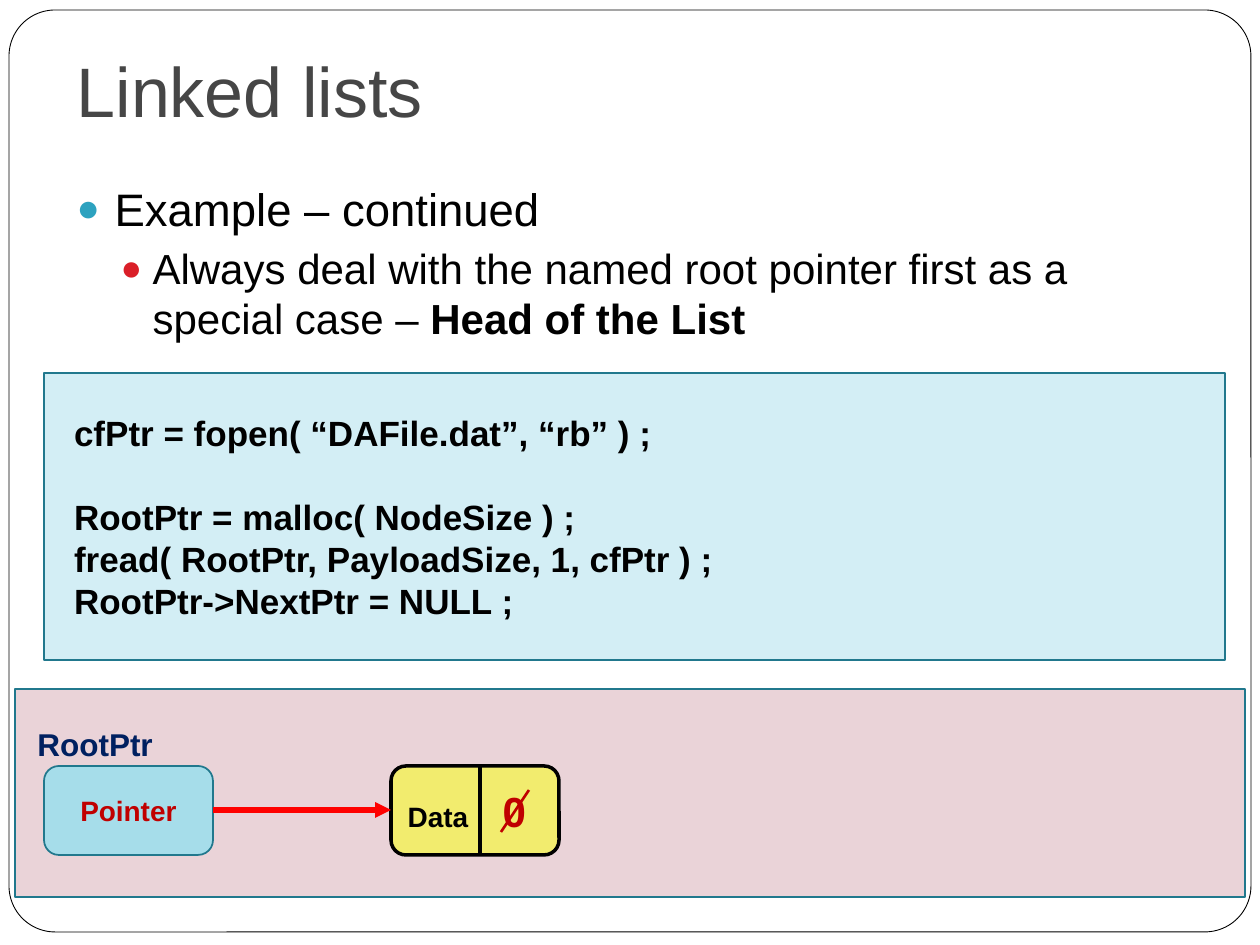
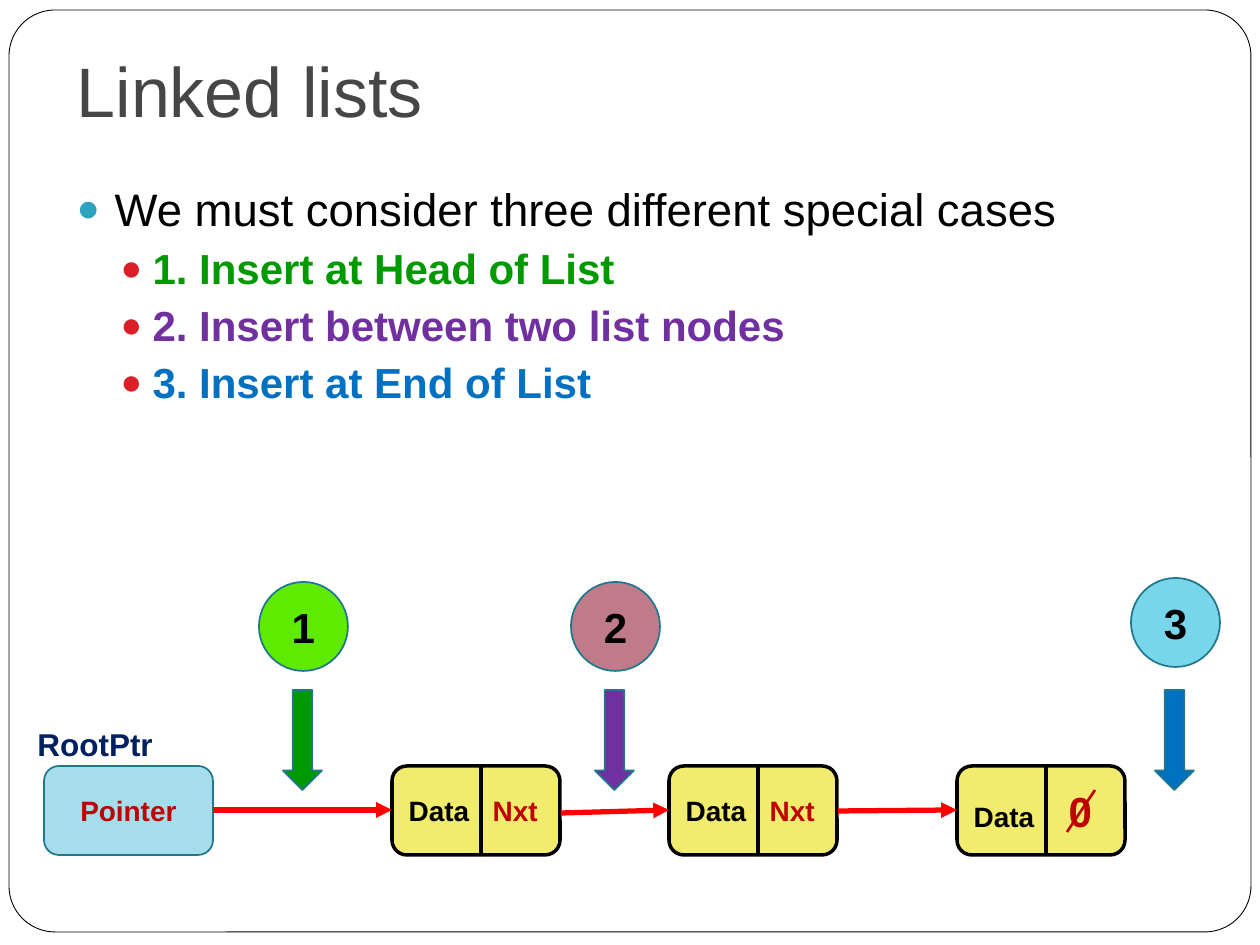
from dataclasses import dataclass

from lxml import etree
from pptx import Presentation
from pptx.dml.color import RGBColor
from pptx.enum.shapes import MSO_CONNECTOR, MSO_SHAPE
from pptx.enum.text import MSO_ANCHOR, MSO_AUTO_SIZE, PP_ALIGN
from pptx.oxml.ns import qn
from pptx.util import Emu, Pt

RECT, ROUND = MSO_SHAPE.RECTANGLE, MSO_SHAPE.ROUNDED_RECTANGLE
DISC, DOWN = MSO_SHAPE.OVAL, MSO_SHAPE.DOWN_ARROW
LINE = MSO_CONNECTOR.STRAIGHT
LEFT, MID = PP_ALIGN.LEFT, PP_ALIGN.CENTER
LOW, CENTER, TOP = MSO_ANCHOR.BOTTOM, MSO_ANCHOR.MIDDLE, MSO_ANCHOR.TOP
FIXED = MSO_AUTO_SIZE.NONE

UNIT = 914400 / 126  # EMU in one px
WIDE, HIGH = 1260, 945


@dataclass(frozen=True)
class Theme:
    font: str = "Arial"
    # colours
    white: str = "FFFFFF"
    ink: str = "000000"
    title: str = "464646"
    edge: str = "21788D"
    dots: tuple = ("2DA2BF", "DA1F28")
    code: str = "D3EEF5"
    panel: str = "EAD3D8"
    root: str = "A6DDEA"
    name: str = "002060"
    node: str = "F2EC6E"
    red: str = "C00000"
    link: str = "FF0000"
    green: str = "009900"
    purple: str = "7030A0"
    blue: str = "0070C0"
    lime: str = "60EA02"
    rose: str = "C07B8A"
    sky: str = "78D6EA"
    # type sizes
    head: int = 40
    list: tuple = (26, 24)
    label: int = 18
    lines: int = 20
    cell: int = 16
    mark: int = 24


def px(num):
    return Emu(round(num * UNIT))


def tint(code):
    return RGBColor.from_string(code)


def put(para, text, font="Arial", size=16, color="000000", bold=False):
    """Add one formatted run to a paragraph."""
    run = para.add_run()
    run.text = text
    run.font.name = font
    run.font.size = Pt(size)
    run.font.bold = bold
    run.font.color.rgb = tint(color)


def paint(line, color, width):
    line.color.rgb = tint(color)
    line.width = Pt(width)


def add(para, tag, **attrs):
    """Append a drawing element to the paragraph properties."""
    props = para._p.get_or_add_pPr()
    return etree.SubElement(props, qn("a:" + tag), attrs)


class Deck:
    def __init__(self, theme):
        self.theme = theme
        self.file = Presentation()
        self.file.slide_width, self.file.slide_height = px(WIDE), px(HIGH)
        self.plan = self.file.slide_layouts[1]
        self.page = None

    def start(self, title):
        """Open a slide; the first one also gives the layout its frame."""
        t = self.theme
        first = self.page is None
        self.page = self.file.slides.add_slide(self.plan)
        if first:
            rim = self.shape(ROUND, 9, 10, 1242, 922, t.white, t.ink, 0.5)
            rim.adjustments[0] = 0.05
            self.plan.shapes.element.insert(2, rim._element)
        frame = self.place(self.page.shapes.title, 38, 107, LOW)
        frame.margin_bottom = px(13)
        para = frame.paragraphs[0]
        para.alignment = LEFT
        put(para, title, t.font, t.head, t.title)

    def place(self, box, top, high, anchor):
        box.left, box.top = px(64), px(top)
        box.width, box.height = px(1133), px(high)
        frame = box.text_frame
        frame.auto_size = FIXED
        frame.vertical_anchor = anchor
        return frame

    def bullets(self, *items):
        """Fill the body; an item is a level and its (text, format) runs."""
        t = self.theme
        frame = self.place(self.page.placeholders[1], 175, 655, TOP)
        for i, (level, *runs) in enumerate(items):
            para = frame.add_paragraph() if i else frame.paragraphs[0]
            para.level = level
            props = para._p.get_or_add_pPr()
            props.set("marL", str(px((38, 76)[level])))
            props.set("indent", str(px((-38, -32)[level])))
            hue = add(para, "buClr")
            etree.SubElement(hue, qn("a:srgbClr"), val=t.dots[level])
            add(para, "buSzPct", val="85000")
            add(para, "buChar", char="●")
            para.space_before = Pt(3.8 if i else 0)
            for text, form in runs:
                put(para, text, t.font, t.list[level], **form)

    def shape(self, kind, x, y, w, h, fill, edge=None, width=1):
        box = self.page.shapes.add_shape(kind, px(x), px(y), px(w), px(h))
        box.shadow.inherit = False
        box.fill.solid()
        box.fill.fore_color.rgb = tint(fill)
        paint(box.line, edge or self.theme.edge, width)
        frame = box.text_frame
        frame.word_wrap = True
        frame.vertical_anchor = CENTER
        frame.paragraphs[0].alignment = MID
        return box

    def line(self, x1, y1, x2, y2, color, width, arrow=False):
        bar = self.page.shapes.add_connector(LINE, px(x1), px(y1), px(x2), px(y2))
        paint(bar.line, color, width)
        if arrow:
            etree.SubElement(bar.line._ln, qn("a:tailEnd"), type="triangle")
        etree.SubElement(bar._element.spPr, qn("a:effectLst"))

    def code(self, *rows):
        """Draw the code box; a row is its text and the space before it."""
        t = self.theme
        frame = self.shape(RECT, 44, 373, 1181, 287, t.code).text_frame
        frame.margin_left = px(30)
        for i, (text, gap) in enumerate(rows):
            para = frame.add_paragraph() if i else frame.paragraphs[0]
            para.alignment = LEFT
            para.space_before = Pt(gap)
            put(para, text, t.font, t.lines, t.ink, True)

    def root(self):
        t = self.theme
        tag = self.page.shapes.add_textbox(px(25), px(719), px(159), px(50))
        tag.text_frame.word_wrap = True
        put(tag.text_frame.paragraphs[0], "RootPtr", t.font, t.label, t.name, True)
        box = self.shape(ROUND, 44, 766, 169, 89, t.root)
        put(box.text_frame.paragraphs[0], "Pointer", t.font, t.cell, t.red, True)

    def node(self, x, last=False):
        """Draw a list node; the last one holds a struck zero."""
        t = self.theme
        box = self.shape(ROUND, x, 766, 168, 89, t.node, t.ink, 2)
        para = box.text_frame.paragraphs[0]
        para.alignment = LEFT
        stops = add(para, "tabLst")
        stop = px(95 if last else 84)
        etree.SubElement(stops, qn("a:tab"), pos=str(stop), algn="l")
        put(para, "Data\t", t.font, t.cell, t.ink, True)
        text, size = ("0", t.mark) if last else ("Nxt", t.cell)
        put(para, text, t.font, size, t.red, True)
        self.line(x + 89, 766, x + 89, 855, t.ink, 2)
        if last:
            self.line(x + 138, 790, x + 110, 832, t.red, 1.5)

    def link(self, x1, x2, y=810):
        self.line(x1, y, x2, 810, self.theme.link, 3, True)

    def step(self, text, x, y, fill, arrow):
        """Draw a numbered disc and the arrow under it."""
        t = self.theme
        self.shape(DOWN, x + 24, 690, 39, 100, arrow)
        disc = self.shape(DISC, x, y, 89, 89, fill)
        put(disc.text_frame.paragraphs[0], text, t.font, t.mark, t.ink, True)


def head(deck):
    """Slide on the root pointer as the head of the list."""
    deck.start("Linked lists")
    deck.bullets(
        (0, ("Example – continued", {})),
        (1, ("Always deal with the named root pointer first as a special case – ", {}),
         ("Head of the List", {"bold": True})))
    deck.code(
        ("cfPtr = fopen( “DAFile.dat”, “rb” ) ;", 0),
        ("RootPtr = malloc( NodeSize ) ;", 24),
        ("fread( RootPtr, PayloadSize, 1, cfPtr ) ;", 0),
        ("RootPtr->NextPtr = NULL ;", 0))
    deck.shape(RECT, 15, 689, 1230, 208, deck.theme.panel)
    deck.root()
    deck.node(391, last=True)
    deck.link(213, 391)


def cases(deck):
    """Slide on the three places to insert a node."""
    t = deck.theme
    deck.start("Linked lists")
    names = (("1. Insert at Head of List", t.green),
             ("2. Insert between two list nodes", t.purple),
             ("3. Insert at End of List", t.blue))
    deck.bullets(
        (0, ("We must consider three different special cases", {})),
        *((1, (text, {"color": hue, "bold": True})) for text, hue in names))
    deck.root()
    for x in (392, 669):
        deck.node(x)
    deck.node(957, last=True)
    for ends in ((213, 392), (561, 669, 813), (838, 957, 811)):
        deck.link(*ends)
    deck.step("1", 259, 582, t.lime, t.green)
    deck.step("2", 571, 582, t.rose, t.purple)
    deck.step("3", 1131, 578, t.sky, t.blue)


def main():
    deck = Deck(Theme())
    head(deck)
    cases(deck)
    deck.file.save("out.pptx")


if __name__ == "__main__":
    main()
